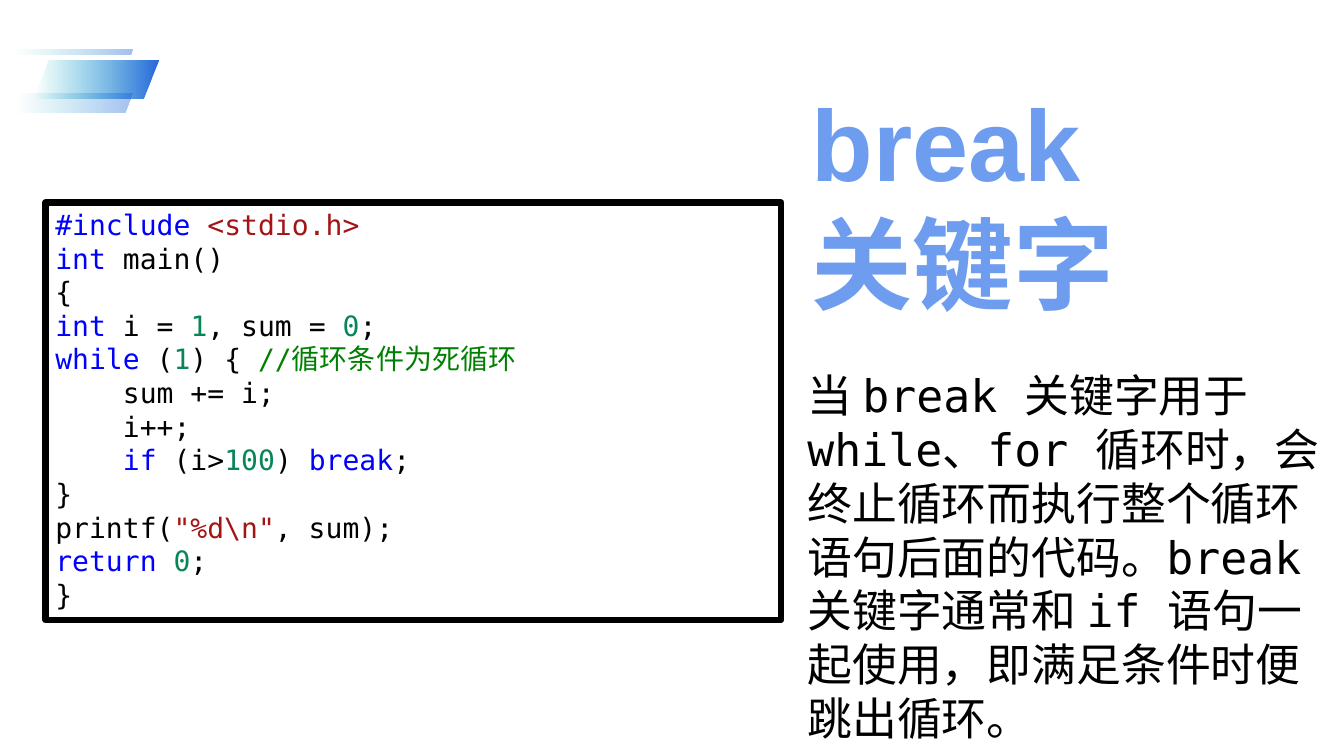
from dataclasses import dataclass

from lxml.etree import SubElement
from pptx import Presentation
from pptx.dml.color import RGBColor
from pptx.enum.shapes import MSO_SHAPE as Preset
from pptx.enum.text import MSO_ANCHOR as Anchor, MSO_AUTO_SIZE as AutoSize, PP_ALIGN as Align
from pptx.oxml.ns import qn
from pptx.util import Inches, Pt

BLACK = RGBColor(0x00, 0x00, 0x00)
KEYWORD = RGBColor(0x00, 0x00, 0xFF)
STRING = RGBColor(0xA3, 0x15, 0x15)
NUMBER = RGBColor(0x09, 0x86, 0x58)
COMMENT = RGBColor(0x00, 0x80, 0x00)
TITLE_BLUE = RGBColor(0x6E, 0x9D, 0xEF)
TEAL = RGBColor(0x07, 0xB2, 0xC4)
ROYAL_BLUE = RGBColor(0x18, 0x5E, 0xDA)

CODE_FONT = "DejaVu Sans Mono"
TITLE_FONT = "Arial"
LINE_RATIO = 1.2
SLIDE_WIDTH, SLIDE_HEIGHT = Inches(13.33), Inches(7.5)

Token = tuple[str, RGBColor]


@dataclass(frozen=True)
class Area:
    """A rectangle in percent of the slide's width and height."""
    left: float
    top: float
    width: float
    height: float

    def place(self, shape) -> None:
        shape.left, shape.top, shape.width, shape.height = self.lengths()

    def lengths(self) -> tuple[int, int, int, int]:
        column, row = SLIDE_WIDTH / 100, SLIDE_HEIGHT / 100
        return (round(self.left * column), round(self.top * row),
                round(self.width * column), round(self.height * row))


@dataclass(frozen=True)
class Stripe:
    area: Area
    opacity: int


STRIPES = [
    Stripe(Area(2.48, 8, 9.3, 5.07), 94),
    Stripe(Area(1.05, 12.4, 8.78, 2.53), 40),
    Stripe(Area(1.05, 6.53, 8.78, 0.67), 40),
]
CODE_AREA = Area(3.38, 26.8, 54.75, 55.2)
TITLE_AREA = Area(59.63, 10, 37.88, 33.6)
BODY_AREA = Area(59.33, 48, 41.25, 51.6)

CODE: list[list[Token]] = [
    [("#include ", KEYWORD), ("<stdio.h>", STRING)],
    [("int", KEYWORD), (" main()", BLACK)],
    [("{", BLACK)],
    [("int ", KEYWORD), ("i = ", BLACK), ("1", NUMBER),
     (", sum = ", BLACK), ("0", NUMBER), (";", BLACK)],
    [("while", KEYWORD), (" (", BLACK), ("1", NUMBER), (") {", BLACK),
     (" //循环条件为死循环", COMMENT)],
    [("    sum += i;", BLACK)],
    [("    i++;", BLACK)],
    [("    ", BLACK), ("if", KEYWORD), (" (i>", BLACK), ("100", NUMBER),
     (") ", BLACK), ("break", KEYWORD), (";", BLACK)],
    [("}", BLACK)],
    [("printf(", BLACK), ('"%d\\n"', STRING), (", sum);", BLACK)],
    [("return ", KEYWORD), ("0", NUMBER), (";", BLACK)],
    [("}", BLACK)],
]
TITLE: list[list[Token]] = [[("break", TITLE_BLUE)], [("关键字", TITLE_BLUE)]]
BODY: list[list[Token]] = [[(
    "当 break 关键字用于 while、for 循环时，会终止循环而执行整个循环语句后面的代码。"
    "break 关键字通常和 if 语句一起使用，即满足条件时便跳出循环。", BLACK)]]


def write_text(shape, lines: list[list[Token]], *, size: float, font: str,
               bold: bool = False) -> None:
    """Fill the shape with one unbulleted paragraph per line of coloured tokens."""
    frame = shape.text_frame
    frame.word_wrap = True
    frame.auto_size = AutoSize.NONE
    frame.vertical_anchor = Anchor.TOP
    for index, tokens in enumerate(lines):
        para = frame.add_paragraph() if index else frame.paragraphs[0]
        para.alignment = Align.LEFT
        para.line_spacing = Pt(size * LINE_RATIO)
        para.space_before = para.space_after = Pt(0)
        properties = para._p.get_or_add_pPr()
        properties.set("marL", "0")
        properties.set("indent", "0")
        SubElement(properties, qn("a:buNone"))
        for text, color in tokens:
            span = para.add_run()
            span.text = text
            span.font.name = font
            span.font.size = Pt(size)
            span.font.bold = bold
            span.font.color.rgb = color


def draw_stripe(page, stripe: Stripe) -> None:
    """Draw a parallelogram that fades in from left to right."""
    shape = page.shapes.add_shape(Preset.PARALLELOGRAM, *stripe.area.lengths())
    shape.shadow.inherit = False
    shape.adjustments[0] = 0.4
    shape.line.fill.background()
    shape.fill.gradient()
    shape.fill.gradient_angle = 0
    stops = shape.fill.gradient_stops
    for stop, position, color in zip(stops, (0, 1), (TEAL, ROYAL_BLUE)):
        stop.position = position
        stop.color.rgb = color
    colors = shape._element.spPr.iter(qn("a:srgbClr"))
    for color, opacity in zip(colors, (0, stripe.opacity)):
        SubElement(color, qn("a:alpha")).set("val", str(opacity * 1000))


def draw_code_box(page) -> None:
    box = page.shapes.add_shape(Preset.RECTANGLE, *CODE_AREA.lengths())
    box.shadow.inherit = False
    box.fill.background()
    box.line.color.rgb = BLACK
    box.line.width = Pt(4.5)
    write_text(box, CODE, size=20, font=CODE_FONT)


def main() -> None:
    deck = Presentation()
    deck.slide_width, deck.slide_height = SLIDE_WIDTH, SLIDE_HEIGHT
    page = deck.slides.add_slide(deck.slide_layouts[1])
    for stripe in STRIPES:
        draw_stripe(page, stripe)
    draw_code_box(page)
    title, body = page.shapes.title, page.placeholders[1]
    TITLE_AREA.place(title)
    write_text(title, TITLE, size=72, font=TITLE_FONT, bold=True)
    BODY_AREA.place(body)
    write_text(body, BODY, size=32, font=CODE_FONT)
    deck.save("out.pptx")


if __name__ == "__main__":
    main()
